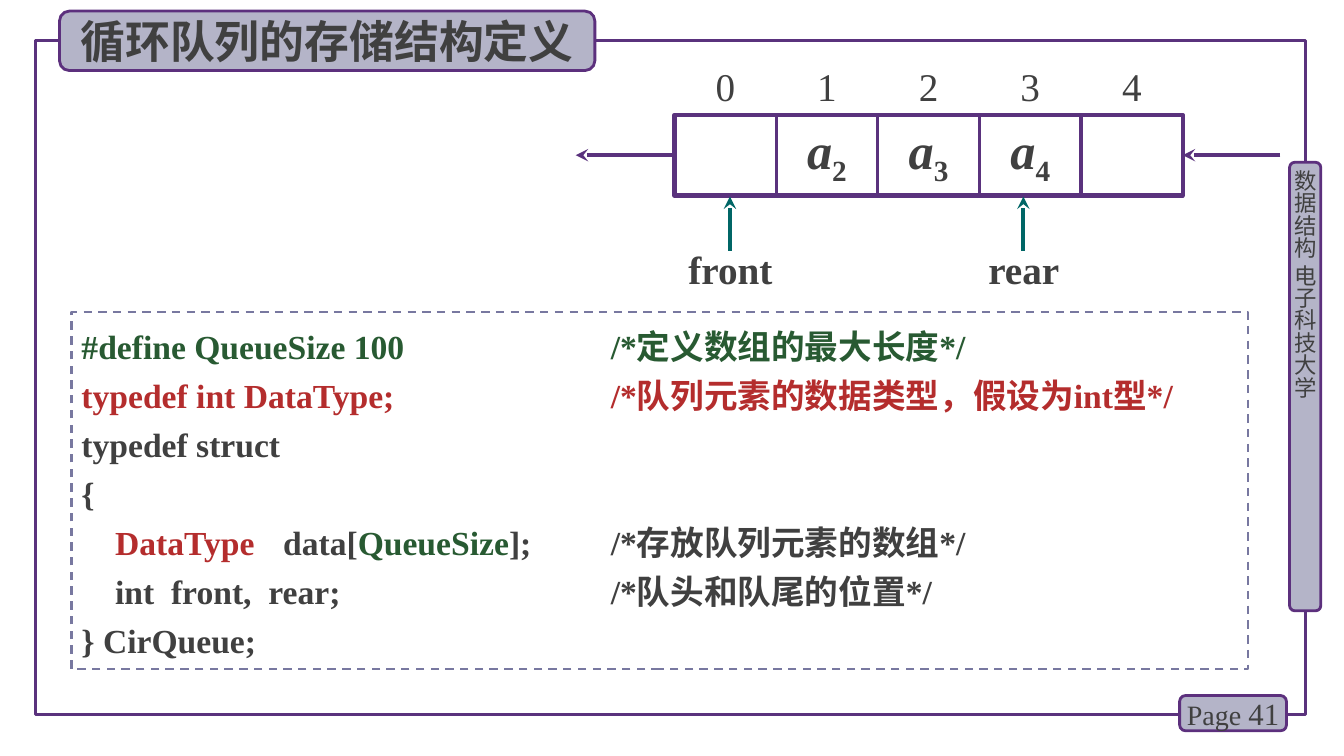
from lxml import etree
from pptx import Presentation
from pptx.dml.color import RGBColor
from pptx.enum.dml import MSO_LINE
from pptx.enum.shapes import MSO_CONNECTOR, MSO_SHAPE
from pptx.enum.text import MSO_ANCHOR, PP_ALIGN
from pptx.oxml.ns import qn
from pptx.util import Pt

PX = 9144  # 100 px to the inch
STRAIGHT = MSO_CONNECTOR.STRAIGHT
RECTANGLE, ROUNDED = MSO_SHAPE.RECTANGLE, MSO_SHAPE.ROUNDED_RECTANGLE
LEFT, CENTER = PP_ALIGN.LEFT, PP_ALIGN.CENTER
TOP, MIDDLE = MSO_ANCHOR.TOP, MSO_ANCHOR.MIDDLE
DASH = MSO_LINE.DASH
SERIF, CHINESE = "Times New Roman", "Noto Sans CJK SC"
COLORS = {
    "text": "404040", "frame": "5A327D", "badge": "B4B4C8", "badge_line": "5C307D",
    "dashes": "7878A0", "pointer": "006666", "green": "285A32", "red": "B42D2D",
}
CELL_COUNT = 5
ELEMENTS = {1: "2", 2: "3", 3: "4"}  # cell: subscript
POINTERS = {"front": 55, "rear": 346}  # label: distance from the array's left side
TAB_STOPS = (200, 525)
CODE = (
    (("#define QueueSize 100\t\t/*定义数组的最大长度*/", "green"),),
    (("typedef int DataType;\t/*队列元素的数据类型，假设为int型*/", "red"),),
    (("typedef struct", "text"),),
    (("{", "text"),),
    (("    DataType", "red"), ("\tdata[", "text"), ("QueueSize", "green"),
     ("];\t/*存放队列元素的数组*/", "text")),
    (("    int  front,  rear;\t/*队头和队尾的位置*/", "text"),),
    (("} CirQueue;", "text"),),
)


def color(name):
    return RGBColor.from_string(COLORS[name])


def add_box(slide, kind, box, line, width, fill=None):
    shape = slide.shapes.add_shape(kind, *(value * PX for value in box))
    shape.shadow.inherit = False
    if fill:
        shape.fill.solid()
        shape.fill.fore_color.rgb = color(fill)
    else:
        shape.fill.background()
    shape.line.color.rgb = color(line)
    shape.line.width = Pt(width)
    return shape


def add_line(slide, start, end, line, width, arrow=False):
    connector = slide.shapes.add_connector(
        STRAIGHT, *(round(value * PX) for value in (*start, *end)))
    connector.line.color.rgb = color(line)
    connector.line.width = Pt(width)
    properties = connector._element.spPr
    if arrow:
        etree.SubElement(connector.line._get_or_add_ln(), qn("a:tailEnd"), type="stealth")
    etree.SubElement(properties, qn("a:effectLst"))
    return connector


def prepare_frame(shape, anchor, insets=(0, 0, 0, 0)):
    frame = shape.text_frame
    frame.word_wrap = True
    frame.vertical_anchor = anchor
    (frame.margin_left, frame.margin_top,
     frame.margin_right, frame.margin_bottom) = (value * PX for value in insets)
    return frame


def add_run(paragraph, text, size, font=SERIF, tint="text", bold=False):
    run = paragraph.add_run()
    run.text = text
    run.font.size = Pt(size)
    run.font.name = font
    run.font.bold = bold
    run.font.color.rgb = color(tint)
    etree.SubElement(run.font._element, qn("a:ea"), typeface=CHINESE)
    return run


def add_label(slide, box, text, size, bold=False, anchor=MIDDLE):
    """Add a centred text box and return its paragraph and first run."""
    label = slide.shapes.add_textbox(*(round(value * PX) for value in box))
    paragraph = prepare_frame(label, anchor).paragraphs[0]
    paragraph.alignment = CENTER
    return paragraph, add_run(paragraph, text, size, bold=bold)


def add_title(slide, box):
    badge = add_box(slide, ROUNDED, box, "badge_line", 2, "badge")
    paragraph = prepare_frame(badge, MIDDLE).paragraphs[0]
    paragraph.alignment = CENTER
    add_run(paragraph, "循环队列的存储结构定义", 32, CHINESE, bold=True)


def add_course_bar(slide, box):
    bar = add_box(slide, ROUNDED, box, "badge_line", 2, "badge")
    frame = prepare_frame(bar, MIDDLE, (0, 6, 0, 0))
    frame._txBody.bodyPr.set("vert", "eaVert")
    frame.paragraphs[0].alignment = LEFT
    add_run(frame.paragraphs[0], "数据结构 电子科技大学", 16, CHINESE)


def add_page_badge(slide, box):
    badge = add_box(slide, ROUNDED, box, "badge_line", 2, "badge")
    paragraph = prepare_frame(badge, MIDDLE).paragraphs[0]
    paragraph.alignment = CENTER
    add_run(paragraph, "Page ", 20)
    add_run(paragraph, "41", 22)


def add_queue(slide, box):
    """Draw the array in the box, with its indexes, flow arrows and pointers around it."""
    left, top, width, height = box
    right, bottom, middle = left + width, top + height, top + height // 2
    cell_width = width / CELL_COUNT
    array = add_box(slide, RECTANGLE, box, "frame", 3)
    for index in range(CELL_COUNT):
        cell_left = left + index * cell_width
        add_label(slide, (cell_left, top - 57, cell_width, 57), str(index), 28)
        if index:
            add_line(slide, (cell_left, top), (cell_left, bottom), "frame", 2.25)
        if index in ELEMENTS:
            paragraph, letter = add_label(
                slide, (cell_left, top + 4, cell_width, 65), "a", 36, True, TOP)
            letter.font.italic = True
            subscript = add_run(paragraph, ELEMENTS[index], 36, bold=True)
            subscript.font._element.set("baseline", "-25000")

    leaving = add_line(slide, (left, middle), (left - 98, middle), "frame", 3, True)
    leaving.begin_connect(array, 1)
    entering = add_line(slide, (right + 97, middle), (right, middle), "frame", 3, True)
    entering.end_connect(array, 3)

    for name, offset in POINTERS.items():
        x = left + offset
        add_line(slide, (x, bottom + 55), (x, bottom + 1), "pointer", 3, True)
        add_label(slide, (x - 56, bottom + 44, 113, 57), name, 28, True)


def add_code(slide, box):
    panel = add_box(slide, RECTANGLE, box, "dashes", 1.5)
    panel.line.dash_style = DASH
    frame = prepare_frame(panel, TOP, (10, 5, 10, 5))
    for number, pieces in enumerate(CODE):
        paragraph = frame.add_paragraph() if number else frame.paragraphs[0]
        tabs = etree.SubElement(paragraph._p.get_or_add_pPr(), qn("a:tabLst"))
        for stop in TAB_STOPS:
            # A stop left of the text is passed over, so long lines reach the comment column.
            etree.SubElement(tabs, qn("a:tab"), pos=str(stop * PX), algn="l")
        paragraph.alignment = LEFT
        paragraph.line_spacing = Pt(35)
        for text, tint in pieces:
            add_run(paragraph, text.replace("\t\t", "\t"), 24, tint=tint, bold=True)


def main():
    presentation = Presentation()
    presentation.slide_width, presentation.slide_height = 1333 * PX, 750 * PX
    slide = presentation.slides.add_slide(presentation.slide_layouts[6])
    add_box(slide, RECTANGLE, (35, 40, 1260, 669), "frame", 2.25)
    add_course_bar(slide, (1279, 161, 31, 445))
    add_page_badge(slide, (1170, 690, 106, 35))
    add_code(slide, (71, 310, 1167, 354))
    add_queue(slide, (669, 114, 504, 80))
    add_title(slide, (59, 11, 531, 59))
    presentation.save("out.pptx")


if __name__ == "__main__":
    main()
